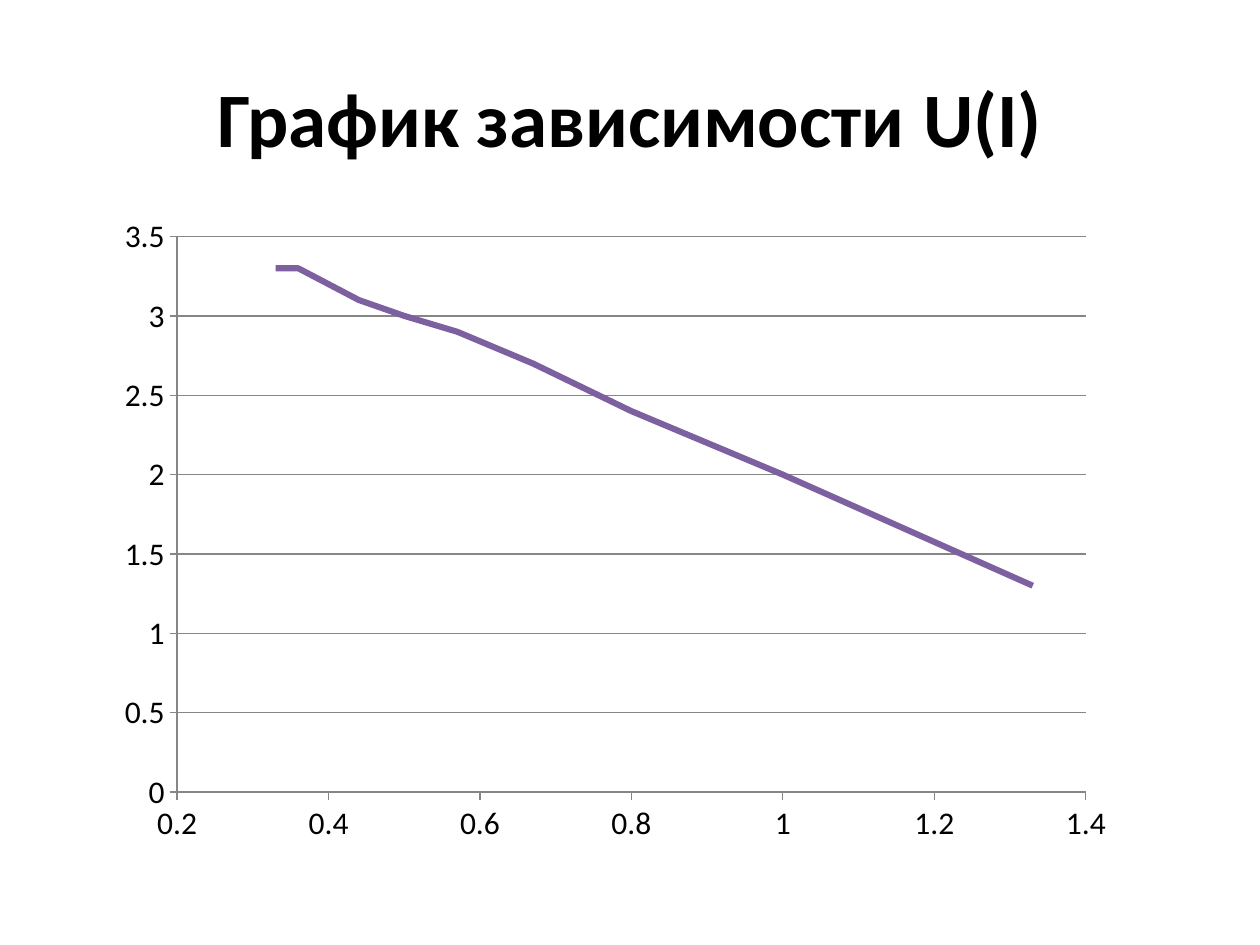
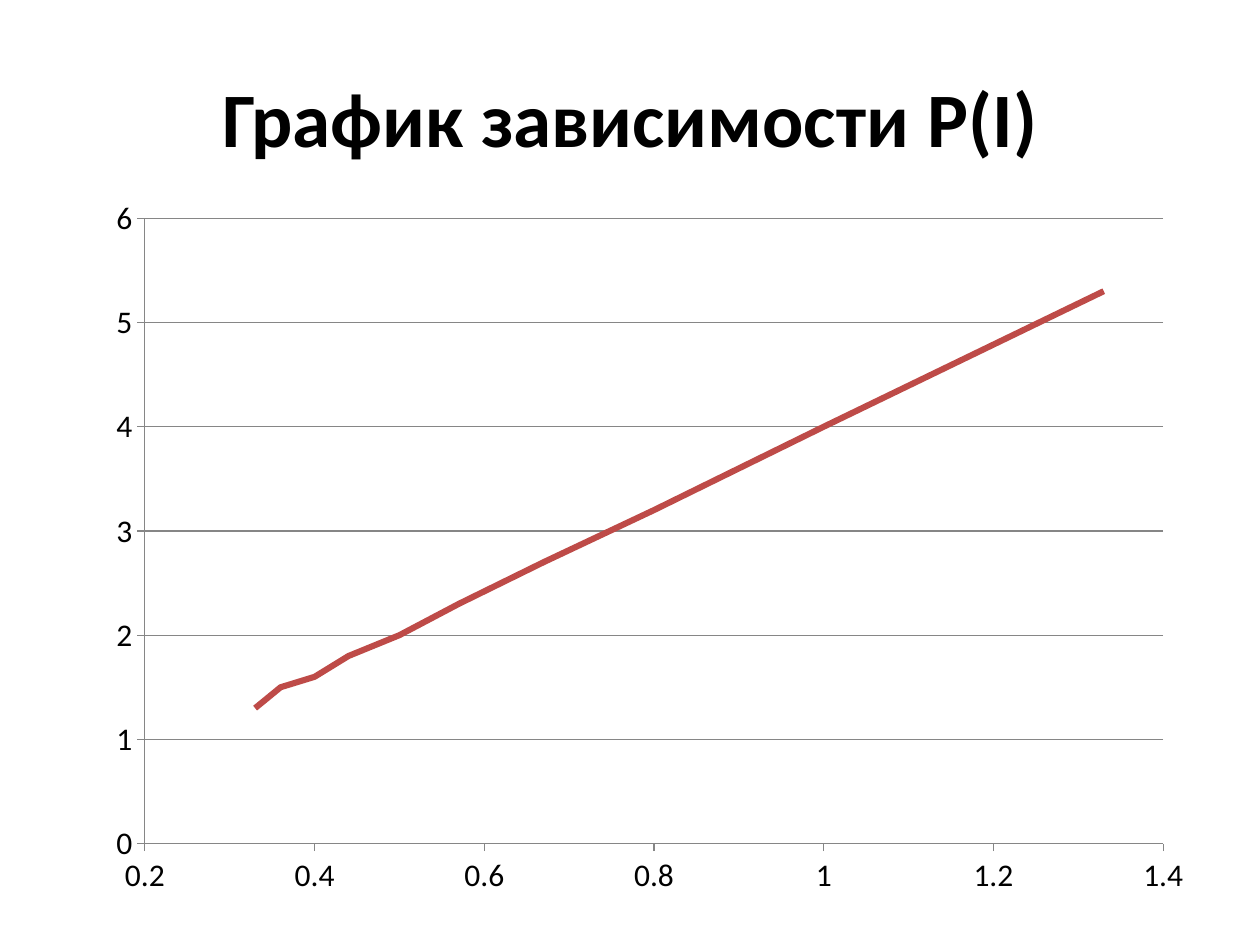
from lxml import etree
from pptx import Presentation
from pptx import util as u
from pptx.chart.data import XyChartData
from pptx.dml.color import RGBColor
from pptx.enum import chart as ch, lang, text
from pptx.oxml.ns import qn

COLORS = {"text": "000000", "axis": "868686", "voltage": "7D60A0", "power": "BE4B48"}
FONT = "Calibri"
RUSSIAN, ENGLISH = lang.MSO_LANGUAGE_ID.RUSSIAN, lang.MSO_LANGUAGE_ID.ENGLISH_US

# Source with EMF 4 V and inner resistance 2 ohm, loaded with 10 down to 1 ohm
EMF, INNER = 4, 2
LOADS = range(10, 0, -1)
CURRENTS = [EMF / (load + INNER) for load in LOADS]
VOLTAGES = [EMF - INNER * i for i in CURRENTS]
POWERS = [EMF * i for i in CURRENTS]


def rgb(name):
    return RGBColor.from_string(COLORS[name])


def add_text(s, parts, left, top, width, height, size=18, bold=False, color="text"):
    """Add one centred paragraph; parts are (text, language) pairs."""
    tf = s.shapes.add_textbox(u.Cm(left), u.Cm(top), u.Cm(width), u.Cm(height)).text_frame
    tf.word_wrap = True
    tf.vertical_anchor = text.MSO_ANCHOR.MIDDLE
    p = tf.paragraphs[0]
    p.alignment = text.PP_ALIGN.CENTER
    for content, language in parts:
        r = p.add_run()
        r.text = content
        r.font.name, r.font.size, r.font.bold = FONT, u.Pt(size), bold
        r.font.language_id = language
        r.font.color.rgb = rgb(color)


def add_title(s, formula):
    add_text(s, [("График зависимости ", RUSSIAN), (formula, ENGLISH)],
             1.27, 0.76, 22.86, 3.18, size=44, bold=True)


def set_axis(axis, low, high, step, grid):
    axis.minimum_scale, axis.maximum_scale, axis.major_unit = low, high, step
    axis.major_tick_mark = ch.XL_TICK_MARK.OUTSIDE
    axis.minor_tick_mark = ch.XL_TICK_MARK.NONE
    axis.tick_labels.number_format = "General"
    axis.tick_labels.number_format_is_linked = False
    axis.has_major_gridlines = grid
    lines = [axis.format.line]
    if grid:
        lines.append(axis.major_gridlines.format.line)
    for line in lines:
        line.color.rgb = rgb("axis")
        line.width = u.Pt(0.75)


def set_plot_area(chart, box, plot):
    """Place the inner plot area; both boxes are in cm on the slide."""
    left, top, width, height = box
    x, y, w, h = plot
    values = {"layoutTarget": "inner", "xMode": "edge", "yMode": "edge",
              "x": (x - left) / width, "y": (y - top) / height,
              "w": w / width, "h": h / height}
    area = chart.element.find(".//" + qn("c:plotArea"))
    for old in area.findall(qn("c:layout")):
        area.remove(old)
    layout = etree.Element(qn("c:layout"))
    manual = etree.SubElement(layout, qn("c:manualLayout"))
    for tag, value in values.items():
        etree.SubElement(manual, qn("c:" + tag)).set("val", str(value))
    area.insert(0, layout)


def add_curve(s, box, plot, values, color, top_value, step):
    data = XyChartData()
    points = data.add_series("Series 1")
    for current, value in zip(CURRENTS, values):
        points.add_data_point(round(current, 2), round(value, 1))
    chart = s.shapes.add_chart(ch.XL_CHART_TYPE.XY_SCATTER_SMOOTH_NO_MARKERS,
                               *map(u.Cm, box), data).chart
    chart.has_legend = chart.has_title = False
    chart.font.name, chart.font.size = FONT, u.Pt(18)
    chart.font.color.rgb = rgb("text")
    chart.plots[0].vary_by_categories = False
    set_axis(chart.category_axis, 0.2, 1.4, 0.2, grid=False)
    set_axis(chart.value_axis, 0, top_value, step, grid=True)
    set_plot_area(chart, box, plot)
    series = chart.plots[0].series[0]
    series.smooth = True
    series.marker.style = ch.XL_MARKER_STYLE.NONE
    series.format.line.color.rgb = rgb(color)
    series.format.line.width = u.Pt(3.5)


def main():
    prs = Presentation()
    prs.slide_width, prs.slide_height = u.Cm(25.4), u.Cm(19.05)
    blank = prs.slide_layouts[6]

    # Voltage against current
    s = prs.slides.add_slide(blank)
    add_title(s, "U(I)")
    add_curve(s, (2.11, 4.11, 20.6, 13.13), (3.57, 4.77, 18.32, 11.2),
              VOLTAGES, "voltage", top_value=3.5, step=0.5)

    # Power against current
    s = prs.slides.add_slide(blank)
    add_title(s, "P(I)")
    add_curve(s, (1.9, 3.73, 22.4, 14.6), (2.92, 4.4, 20.53, 12.61),
              POWERS, "power", top_value=6, step=1)

    prs.save("out.pptx")


if __name__ == "__main__":
    main()
